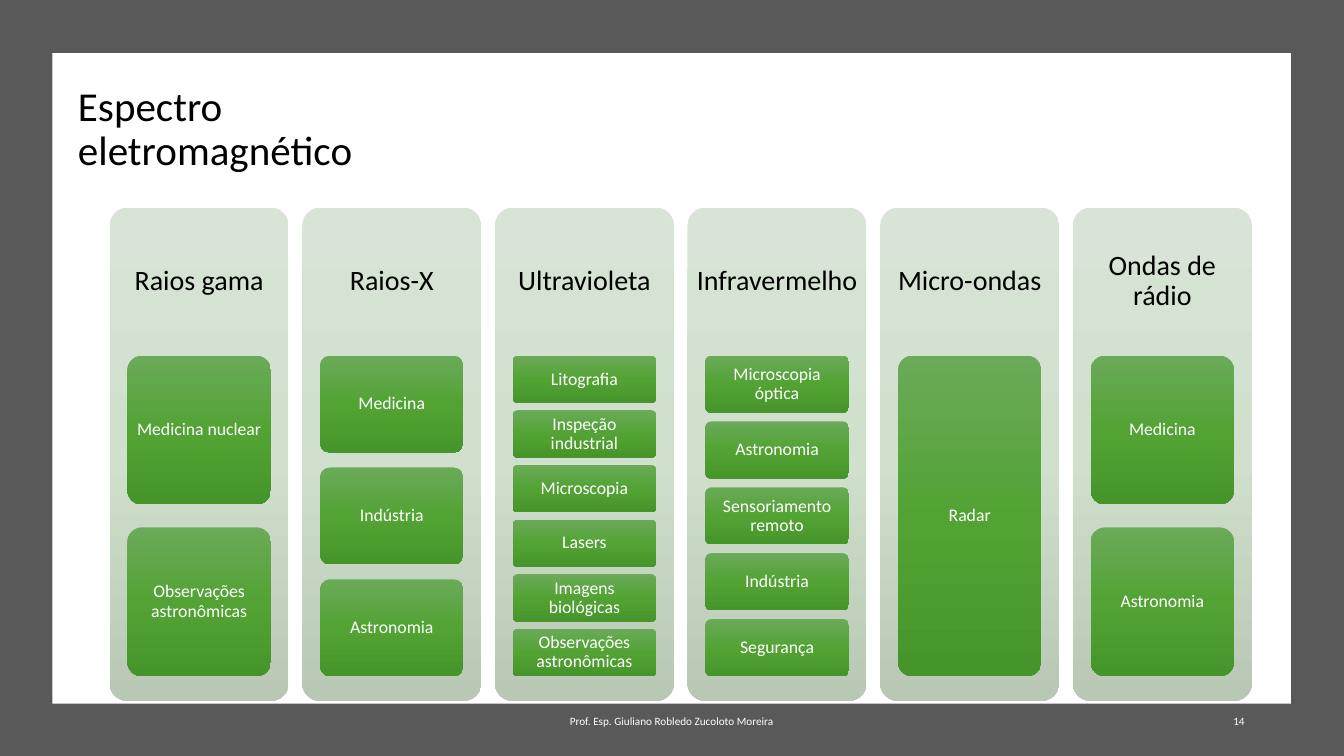
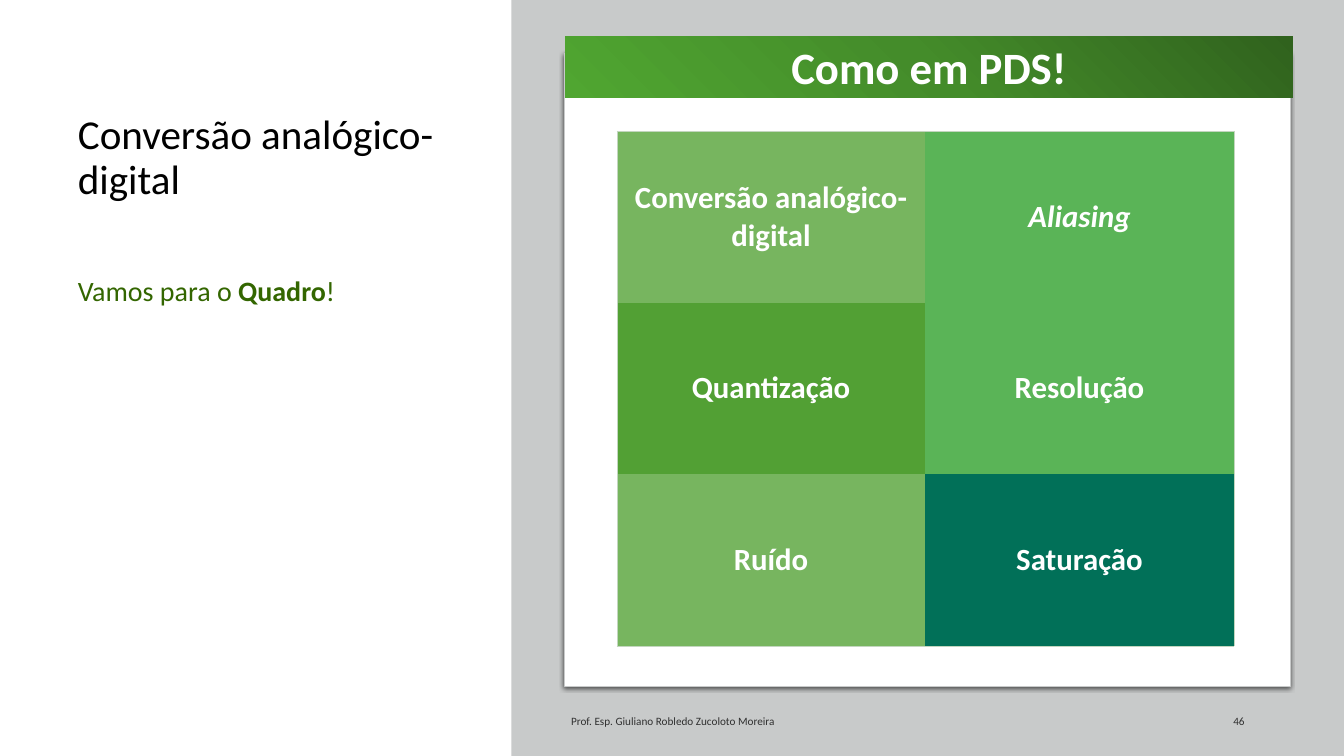
from pptx import Presentation
from pptx.dml.color import RGBColor
from pptx.enum.shapes import MSO_SHAPE as Form
from pptx.enum.text import MSO_ANCHOR as Anchor, MSO_AUTO_SIZE as Fit, PP_ALIGN as Align
from pptx.oxml import parse_xml
from pptx.oxml.ns import nsdecls, qn
from pptx.util import Inches, Pt

FONT = "Calibri"
WHITE, BLACK, GREY, SILVER = "FFFFFF", "000000", "595959", "C8CACA"
INK, MOSS, EDGE = "303030", "336600", "C3D6BF"
LIGHT, MID, MINT, TEAL = "77B55F", "52A034", "5AB457", "017058"
PALE = ("D8E4D6", "D0E0CD", "B8C8B5")
LEAF = ("6BAA59", "52A334", "46952A")
DEEP = ("30621D", "448C2A", "50A631")
AUTHOR = "Prof. Esp. Giuliano Robledo Zucoloto Moreira"
PLAIN = "{2D5ABB26-0587-4C30-8999-92F81FD0307C}"

BANDS = [
    ("Raios gama", ["Medicina nuclear", "Observações astronômicas"]),
    ("Raios-X", ["Medicina", "Indústria", "Astronomia"]),
    ("Ultravioleta", ["Litografia", "Inspeção industrial", "Microscopia", "Lasers",
                      "Imagens biológicas", "Observações astronômicas"]),
    ("Infravermelho", ["Microscopia óptica", "Astronomia", "Sensoriamento remoto",
                       "Indústria", "Segurança"]),
    ("Micro-ondas", ["Radar"]),
    ("Ondas de rádio", ["Medicina", "Astronomia"]),
]
TOPICS = [
    [("Conversão analógico-digital", LIGHT), ("Aliasing", MINT)],
    [("Quantização", MID), ("Resolução", MINT)],
    [("Ruído", LIGHT), ("Saturação", TEAL)],
]


def color(code):
    return RGBColor.from_string(code)


def style(run, size, code, bold=False, italic=False):
    font = run.font
    font.name, font.size = FONT, Pt(size)
    font.bold, font.italic = bold, italic
    font.color.rgb = color(code)


def write(frame, text, size, code, align=Align.LEFT, anchor=Anchor.MIDDLE,
          bold=False, lead=None):
    frame.word_wrap = True
    frame.vertical_anchor = anchor
    frame.text = text
    para = frame.paragraphs[0]
    para.alignment, para.line_spacing = align, lead
    style(para.runs[0], size, code, bold)


def pad(frame, side, end):
    frame.margin_left = frame.margin_right = Inches(side)
    frame.margin_top = frame.margin_bottom = Inches(end)


def place(shape, box):
    shape.left, shape.top, shape.width, shape.height = map(Inches, box)


def block(slide, box, fill=None, form=Form.RECTANGLE):
    shape = slide.shapes.add_shape(form, *map(Inches, box))
    shape.shadow.inherit = False
    shape.line.fill.background()
    if fill:
        shape.fill.solid()
        shape.fill.fore_color.rgb = color(fill)
    return shape


def blend(shape, stops, angle):
    marks = "".join(f'<a:gs pos="{i * 50000}"><a:srgbClr val="{code}"/></a:gs>'
                    for i, code in enumerate(stops))
    grad = parse_xml(f'<a:gradFill {nsdecls("a")} rotWithShape="1"><a:gsLst>{marks}</a:gsLst>'
                     f'<a:lin ang="{angle * 60000}" scaled="0"/></a:gradFill>')
    shape.fill.background()
    props = shape.element.spPr
    props.replace(props.find(qn("a:noFill")), grad)


def soft(slide, box, stops):
    shape = block(slide, box, form=Form.ROUNDED_RECTANGLE)
    shape.adjustments[0] = 0.1
    blend(shape, stops, 90)
    return shape


def label(slide, box, *args, **kinds):
    text = slide.shapes.add_textbox(*map(Inches, box))
    write(text.text_frame, *args, **kinds)
    return text


def head(slide, text, height):
    title = slide.shapes.title
    place(title, (1.06, 1.03, 5.75, height))
    write(title.text_frame, text, 44, BLACK, lead=0.9)
    title.text_frame.auto_size = Fit.NONE
    title.element.getparent().append(title.element)


def foot(slide, left, align, number, code):
    label(slide, (left, 10.43, 6.75, 0.6), AUTHOR, 12, code, align)
    label(slide, (14.12, 10.43, 4.5, 0.6), number, 12, code, Align.RIGHT)


def column(slide, box, name, uses):
    left, top, width, height = box
    soft(slide, box, PALE)
    title = label(slide, (left, top, width, height * 0.3), name, 30, BLACK,
                  Align.CENTER, lead=0.9)
    pad(title.text_frame, 0.12, 0.12)
    gap = 2 / 13
    tall = height * 0.65 / (len(uses) + gap * (len(uses) - 1))
    for i, use in enumerate(uses):
        y = top + height * 0.3 + i * tall * (1 + gap)
        card = soft(slide, (left + width * 0.1, y, width * 0.8, tall), LEAF)
        pad(card.text_frame, 0.05, 0.04)
        write(card.text_frame, use, 19, WHITE, Align.CENTER, lead=0.9)


def chart(slide, box):
    left, top, width, height = box
    gap = 0.075
    wide = width / (len(BANDS) + gap * (len(BANDS) - 1))
    for i, (name, uses) in enumerate(BANDS):
        column(slide, (left + i * wide * (1 + gap), top, wide, height), name, uses)


def rim(cell, sides):
    props = cell._tc.get_or_add_tcPr()
    for i, side in enumerate(sides):
        props.insert(i, parse_xml(
            f'<a:ln{side} {nsdecls("a")} w="6350"><a:solidFill><a:srgbClr val="{EDGE}"/>'
            f'</a:solidFill></a:ln{side}>'))


def grid(slide, box):
    rows, cols = len(TOPICS), len(TOPICS[0])
    frame = slide.shapes.add_table(rows, cols, *map(Inches, box))
    table = frame.table
    table.first_row = table.horz_banding = False
    table._tbl.tblPr.find(qn("a:tableStyleId")).text = PLAIN
    for r, line in enumerate(TOPICS):
        for c, (text, fill) in enumerate(line):
            cell = table.cell(r, c)
            pad(cell, 0.14, 0.06)
            cell.vertical_anchor = Anchor.MIDDLE
            cell.text = text
            para = cell.text_frame.paragraphs[0]
            para.alignment = Align.CENTER
            style(para.runs[0], 33, WHITE, True, text == "Aliasing")
            cell.fill.solid()
            cell.fill.fore_color.rgb = color(fill)
            ends = {"L": c == 0, "R": c == cols - 1, "T": r == 0, "B": r == rows - 1}
            rim(cell, [side for side, outer in ends.items() if outer])


def panel(slide, box):
    left, top, width, height = box
    sheet = block(slide, box, WHITE)
    sheet.line.color.rgb = color(SILVER)
    sheet.line.width = Pt(0.75)
    sheet.element.spPr.find(qn("a:effectLst")).append(parse_xml(
        f'<a:outerShdw {nsdecls("a")} blurRad="57150" dist="19050" dir="5400000" '
        'algn="ctr" rotWithShape="0"><a:srgbClr val="000000"><a:alpha val="63000"/>'
        '</a:srgbClr></a:outerShdw>'))
    grid(slide, (left + 0.78, top + 1.15, 9.18, 7.66))
    banner = block(slide, (left + 0.01, top - 0.26, 10.83, 0.91))
    blend(banner, DEEP, 135)
    write(banner.text_frame, "Como em PDS!", 48, WHITE, Align.CENTER, Anchor.TOP, True)


def note(slide, box, parts):
    body = slide.placeholders[1]
    place(body, box)
    frame = body.text_frame
    frame.auto_size = Fit.NONE
    frame.vertical_anchor = Anchor.TOP
    para = frame.paragraphs[0]
    props = para._p.get_or_add_pPr()
    props.set("marL", "0")
    props.set("indent", "0")
    props.append(parse_xml(f'<a:buNone {nsdecls("a")}/>'))
    para.line_spacing, para.space_before = 0.9, Pt(0)
    for text, bold in parts:
        run = para.add_run()
        run.text = text
        style(run, 30, MOSS, bold)


def bands(deck):
    slide = deck.slides.add_slide(deck.slide_layouts[5])
    block(slide, (0, 0, 20, 11.25), GREY)
    block(slide, (0.78, 0.79, 18.43, 9.68), WHITE)
    foot(slide, 6.62, Align.CENTER, "14", WHITE)
    head(slide, "Espectro eletromagnético", 1.81)
    chart(slide, (1.63, 3.09, 17, 7.34))


def topics(deck):
    slide = deck.slides.add_slide(deck.slide_layouts[1])
    head(slide, "Conversão analógico-digital", 2.66)
    block(slide, (7.61, 0, 12.39, 11.25), SILVER)
    panel(slide, (8.4, 0.8, 10.8, 9.41))
    foot(slide, 8.4, Align.LEFT, "46", INK)
    note(slide, (1.06, 4.07, 5.75, 6.21),
         [("Vamos para o ", False), ("Quadro", True), ("!", False)])


def main():
    deck = Presentation()
    deck.slide_width, deck.slide_height = Inches(20), Inches(11.25)
    bands(deck)
    topics(deck)
    deck.save("out.pptx")


if __name__ == "__main__":
    main()
